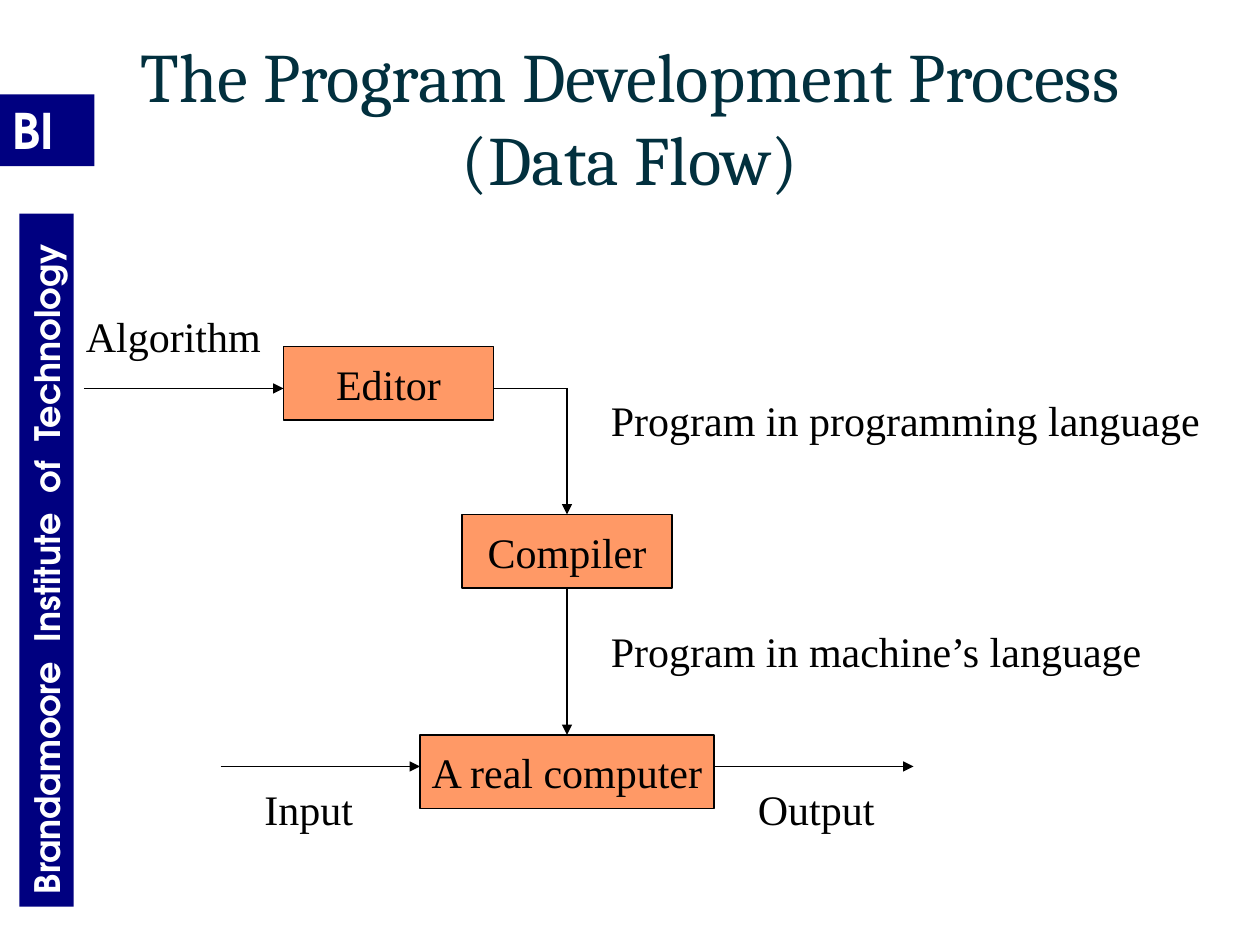
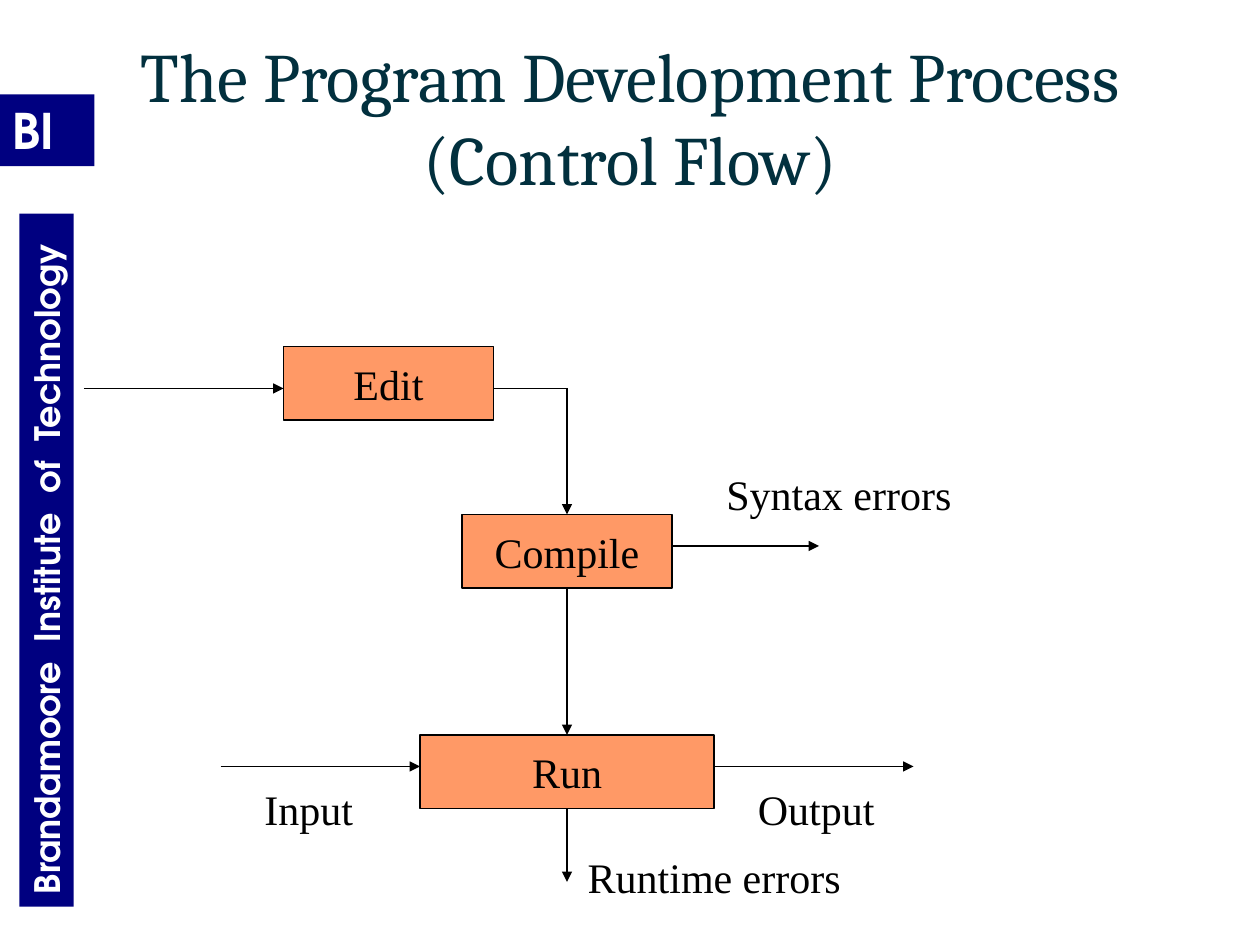
from lxml.etree import SubElement
from pptx import Presentation
from pptx.dml.color import RGBColor
from pptx.enum.shapes import MSO_CONNECTOR as Connector, MSO_SHAPE as Preset
from pptx.enum.text import MSO_ANCHOR as Anchor, MSO_AUTO_SIZE as AutoSize, PP_ALIGN as Align
from pptx.oxml.ns import qn
from pptx.util import Inches, Pt

COLORS = {"navy": "000080", "white": "FFFFFF", "title": "02303E",
          "box": "FF9966", "ink": "000000"}
TITLE_FONT, BAND_FONT, BODY_FONT = "Cambria", "TeX Gyre Adventor", "Times New Roman"
BODY_SIZE = 24
TITLE_ONLY = 5

# The diagrams sit on a grid of 120 columns by 90 rows, twelve to the inch.
CELL = Inches(1) / 12
BOX_HEIGHT = 7
LABEL_HEIGHT = 6
AXIS = 54  # column through the middle of the lower two boxes

# left, top, width of the three stages
STAGES = [(27, 33, 20), (44, 49, 20), (40, 70, 28)]

# start column, start row, end column, end row
SHARED_ARROWS = [(AXIS, 37, AXIS, 49), (AXIS, 56, AXIS, 70),
                 (8, 37, 27, 37), (21, 73, 40, 73), (68, 73, 87, 73)]
ERROR_ARROWS = [(64, 52, 78, 52), (AXIS, 77, AXIS, 84)]

# text, left, top, width
SHARED_LABELS = [("Input", 24, 74, 11), ("Output", 71, 74, 13.6)]
DATA_LABELS = [("Algorithm", 7, 29, 19.2),
               ("Program in programming language", 57, 37, 58.5),
               ("Program in machine’s language", 57, 59, 53.2)]
ERROR_LABELS = [("Syntax errors", 68, 44, 24),
                ("Runtime errors", 54.8, 80.5, 26.6)]


def grid(*cells):
    """Turn grid cells into lengths."""
    return [round(cell * CELL) for cell in cells]


def color(name):
    """Look up a named colour."""
    return RGBColor.from_string(COLORS[name])


def add_run(paragraph, text, font, size, color_name, bold=False):
    """Add one formatted run to a paragraph."""
    run = paragraph.add_run()
    run.text = text
    run.font.name, run.font.size, run.font.bold = font, Pt(size), bold
    run.font.color.rgb = color(color_name)
    return run


def add_rectangle(slide, place, fill):
    """Add a flat filled rectangle without outline."""
    shape = slide.shapes.add_shape(Preset.RECTANGLE, *place)
    shape.shadow.inherit = False
    shape.fill.solid()
    shape.fill.fore_color.rgb = color(fill)
    shape.line.fill.background()
    return shape


def add_band(slide, place, words, size, rotation=0):
    """Add a navy band whose words stand a double space apart."""
    band = add_rectangle(slide, [Inches(length) for length in place], "navy")
    band.rotation = rotation
    band.text_frame.vertical_anchor = Anchor.TOP
    paragraph = band.text_frame.paragraphs[0]
    paragraph.alignment = Align.LEFT
    for index, word in enumerate(words):
        if index:
            gap = add_run(paragraph, " ", BAND_FONT, size, "white", True)
            gap.font._element.set("spc", "550")
        add_run(paragraph, word, BAND_FONT, size, "white", True)
    return band


def brand_layout(slide):
    """Draw the bands once and move them to the slide's layout."""
    bands = [add_band(slide, (0, 0.75, 0.75, 0.57), ["BI"], 28),
             add_band(slide, (-2.38, 4.23, 5.5, 0.43),
                      ["Brandamoore", "Institute", "of", "Technology"], 20, 270)]
    for number, band in enumerate(bands, 101):
        band.element.nvSpPr.cNvPr.set("id", str(number))
        slide.slide_layout.shapes.element.append(band.element)


def set_title(slide, text):
    """Place and fill the title placeholder."""
    title = slide.shapes.title
    title.left, title.top, title.width, title.height = (
        Inches(length) for length in (0.5, 0.3, 9, 1.25))
    frame = title.text_frame
    frame.auto_size, frame.word_wrap = AutoSize.NONE, True
    frame.vertical_anchor = Anchor.MIDDLE
    paragraph = frame.paragraphs[0]
    paragraph.alignment = Align.CENTER
    add_run(paragraph, text, TITLE_FONT, 39.6, "title")


def add_stage(slide, text, left, top, width):
    """Add an outlined box that names one stage."""
    box = add_rectangle(slide, grid(left, top, width, BOX_HEIGHT), "box")
    box.line.color.rgb = color("ink")
    box.line.width = Pt(0.75)
    frame = box.text_frame
    frame.word_wrap, frame.vertical_anchor = False, Anchor.MIDDLE
    paragraph = frame.paragraphs[0]
    paragraph.alignment = Align.CENTER
    add_run(paragraph, text, BODY_FONT, BODY_SIZE, "ink")


def add_label(slide, text, left, top, width):
    """Add a one-line label."""
    label = slide.shapes.add_textbox(*grid(left, top, width, LABEL_HEIGHT))
    frame = label.text_frame
    frame.word_wrap, frame.auto_size = False, AutoSize.SHAPE_TO_FIT_TEXT
    add_run(frame.paragraphs[0], text, BODY_FONT, BODY_SIZE, "ink")


def add_line(slide, ends, arrow=True):
    """Add a straight line, with an arrowhead at its end if wanted."""
    line = slide.shapes.add_connector(Connector.STRAIGHT, *grid(*ends))
    line.line.color.rgb = color("ink")
    line.line.width = Pt(0.75)
    if arrow:
        SubElement(line.line._get_or_add_ln(), qn("a:tailEnd"), type="triangle")
    SubElement(line.element.spPr, qn("a:effectLst"))


def add_flow_slide(presentation, title, stages, arrows, labels):
    """Add a slide with the three-stage flow and its own extras."""
    slide = presentation.slides.add_slide(presentation.slide_layouts[TITLE_ONLY])
    set_title(slide, title)
    for text, place in zip(stages, STAGES):
        add_stage(slide, text, *place)
    add_line(slide, (47, 37, AXIS, 37), arrow=False)
    for ends in SHARED_ARROWS + arrows:
        add_line(slide, ends)
    for label in SHARED_LABELS + labels:
        add_label(slide, *label)
    return slide


def main():
    """Build and save the presentation."""
    presentation = Presentation()
    presentation.slide_width, presentation.slide_height = Inches(10), Inches(7.5)
    first = add_flow_slide(presentation, "The Program Development Process (Data Flow)",
                           ["Editor", "Compiler", "A real computer"], [], DATA_LABELS)
    brand_layout(first)
    add_flow_slide(presentation, "The Program Development Process (Control Flow)",
                   ["Edit", "Compile", "Run"], ERROR_ARROWS, ERROR_LABELS)
    presentation.save("out.pptx")


main()
